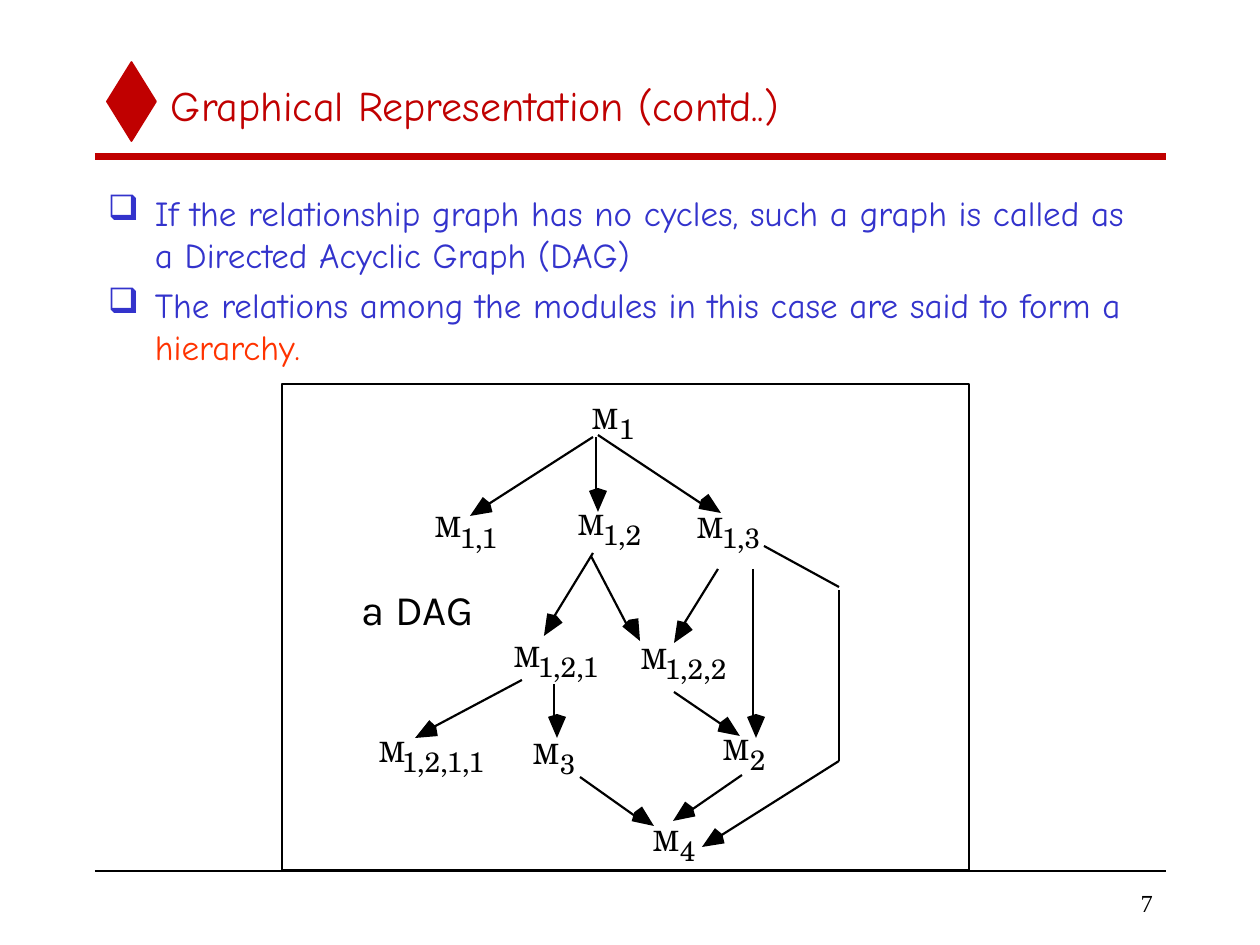
import math
from dataclasses import dataclass

import pptx
import pptx.dml.color
import pptx.enum.shapes
import pptx.enum.text
import pptx.oxml.ns
import pptx.util
from lxml import etree

PX = 914400 / 126


@dataclass(frozen=True)
class Theme:
    red: str = "C00000"
    blue: str = "3333CC"
    orange: str = "FF3300"
    black: str = "000000"
    white: str = "FFFFFF"
    title: int = 24
    body: int = 20
    node: int = 16
    number: int = 14
    hand: str = "Comic Neue"
    sans: str = "Karla"
    serif: str = "TeX Gyre Schola"
    roman: str = "Times New Roman"


T = Theme()
rgb = pptx.dml.color.RGBColor.from_string
prs = pptx.Presentation()
prs.slide_width, prs.slide_height = int(1260 * PX), int(945 * PX)
s = prs.slides.add_slide(prs.slide_layouts[6])


def add_text(x, y, w, h, text, font, size, color, inset=(13, 6), wrap=True):
    """Add a text box with one paragraph per line of text; inset is (sides, top and bottom)."""
    box = s.shapes.add_textbox(*(int(v * PX) for v in (x, y, w, h)))
    tf = box.text_frame
    tf.margin_left = tf.margin_right = int(inset[0] * PX)
    tf.margin_top = tf.margin_bottom = int(inset[1] * PX)
    tf.word_wrap = wrap
    tf.text = text
    for p in tf.paragraphs:
        for r in p.runs:
            r.font.name, r.font.size = font, pptx.util.Pt(size)
            r.font.color.rgb = rgb(color)
    return tf


def add_line(start, end, color, width):
    line = s.shapes.add_connector(
        pptx.enum.shapes.MSO_CONNECTOR.STRAIGHT, *(int(v * PX) for v in (*start, *end)))
    line.line.color.rgb = rgb(color)
    line.line.width = pptx.util.Pt(width)
    etree.SubElement(line._element.spPr, pptx.oxml.ns.qn("a:effectLst"))


# Title mark, rules, diagram frame
shapes = pptx.enum.shapes.MSO_SHAPE
diamond = (shapes.DIAMOND, (107, 62, 49, 79), T.red, T.red)
frame = (shapes.RECTANGLE, (282, 384, 687, 486), T.white, T.black)
for kind, place, fill, outline in (diamond, frame):
    sp = s.shapes.add_shape(kind, *(int(v * PX) for v in place))
    sp.shadow.inherit = False
    sp.fill.solid()
    sp.fill.fore_color.rgb = rgb(fill)
    sp.line.color.rgb = rgb(outline)
    sp.line.width = pptx.util.Pt(1)
add_line((95, 157), (1166, 157), T.red, 4)
add_line((95, 871), (1166, 871), T.black, 1)

# Title and page number
tf = add_text(158, 63, 1008, 84, "Graphical Representation (contd..)", T.hand, T.title, T.red)
tf.vertical_anchor = pptx.enum.text.MSO_ANCHOR.MIDDLE
tf = add_text(987, 882, 179, 42, "7", T.roman, T.number, T.black)
tf.vertical_anchor = pptx.enum.text.MSO_ANCHOR.MIDDLE
tf.paragraphs[0].alignment = pptx.enum.text.PP_ALIGN.RIGHT

# Bulleted body
tf = add_text(
    95, 185, 1071, 675,
    "If the relationship graph has no cycles, such a graph is called as "
    "a Directed Acyclic Graph (DAG)\n"
    "The relations among the modules in this case are said to form a ",
    T.hand, T.body, T.blue)
for p in tf.paragraphs:
    pPr = p._p.get_or_add_pPr()
    pPr.set("marL", str(int(47 * PX)))
    pPr.set("indent", str(int(-47 * PX)))
    color = etree.SubElement(pPr, pptx.oxml.ns.qn("a:buClr"))
    etree.SubElement(color, pptx.oxml.ns.qn("a:srgbClr"), val=T.blue)
    etree.SubElement(pPr, pptx.oxml.ns.qn("a:buChar"), char="❑")
p = tf.paragraphs[1]
p.space_before = pptx.util.Pt(5)
r = p.add_run()
r.text = "hierarchy."
r.font.name, r.font.size = T.hand, pptx.util.Pt(T.body)
r.font.color.rgb = rgb(T.orange)

# Modules: a letter M with its index set lower, to the right
modules = [
    ("1", 592, 402),
    ("1,1", 435, 510), ("1,2", 578, 508), ("1,3", 697, 511),
    ("1,2,1", 514, 640), ("1,2,2", 641, 642),
    ("1,2,1,1", 379, 735), ("3", 533, 737), ("2", 723, 733),
    ("4", 653, 824),
]
for index, x, y in modules:
    n = len(index)
    add_text(x, y, 26, 34, "M", T.serif, T.node, T.black, (0, 0), False)
    add_text(x + 27 - 2 * n // 3, y + 10, 12 * n + 3, 34, index,
             T.serif, T.node, T.black, (0, 0), False)
add_text(349, 578, 147, 63, "a DAG", T.sans, T.title, T.black, wrap=False)

# Arrows: start and end of the shaft, tip of the head
arrows = [
    ((593, 437), (484, 507), (470, 516)),
    ((596, 437), (596, 493), (598, 512)),
    ((598, 435), (702, 504), (721, 513)),
    ((593, 553), (552, 620), (544, 636)),
    ((591, 556), (627, 625), (640, 641)),
    ((718, 569), (682, 627), (674, 643)),
    ((674, 692), (721, 724), (740, 736)),
    ((753, 569), (753, 719), (756, 738)),
    ((522, 680), (428, 730), (415, 738)),
    ((554, 684), (554, 719), (557, 738)),
    ((580, 777), (635, 816), (654, 826)),
    ((742, 775), (687, 813), (673, 821)),
    ((839, 761), (717, 838), (702, 847)),
]
HEAD = [(0, 0), (21, 9), (24, 0), (21, -9)]  # back from the tip, sideways
for start, end, tip in arrows:
    add_line(start, end, T.black, 1.25)
    angle = math.atan2(end[1] - start[1], end[0] - start[0])
    ux, uy = math.cos(angle), math.sin(angle)
    points = [((tip[0] - back * ux - side * uy) * PX, (tip[1] - back * uy + side * ux) * PX)
              for back, side in HEAD]
    builder = s.shapes.build_freeform(*points[0])
    builder.add_line_segments(points[1:], close=True)
    sp = builder.convert_to_shape()
    sp.shadow.inherit = False
    sp.fill.solid()
    sp.fill.fore_color.rgb = rgb(T.black)
    sp.line.fill.background()

# Detour from module 1,3 to module 4
add_line((839, 761), (839, 590), T.black, 1.25)
add_line((764, 546), (839, 587), T.black, 1.25)

prs.save("out.pptx")
